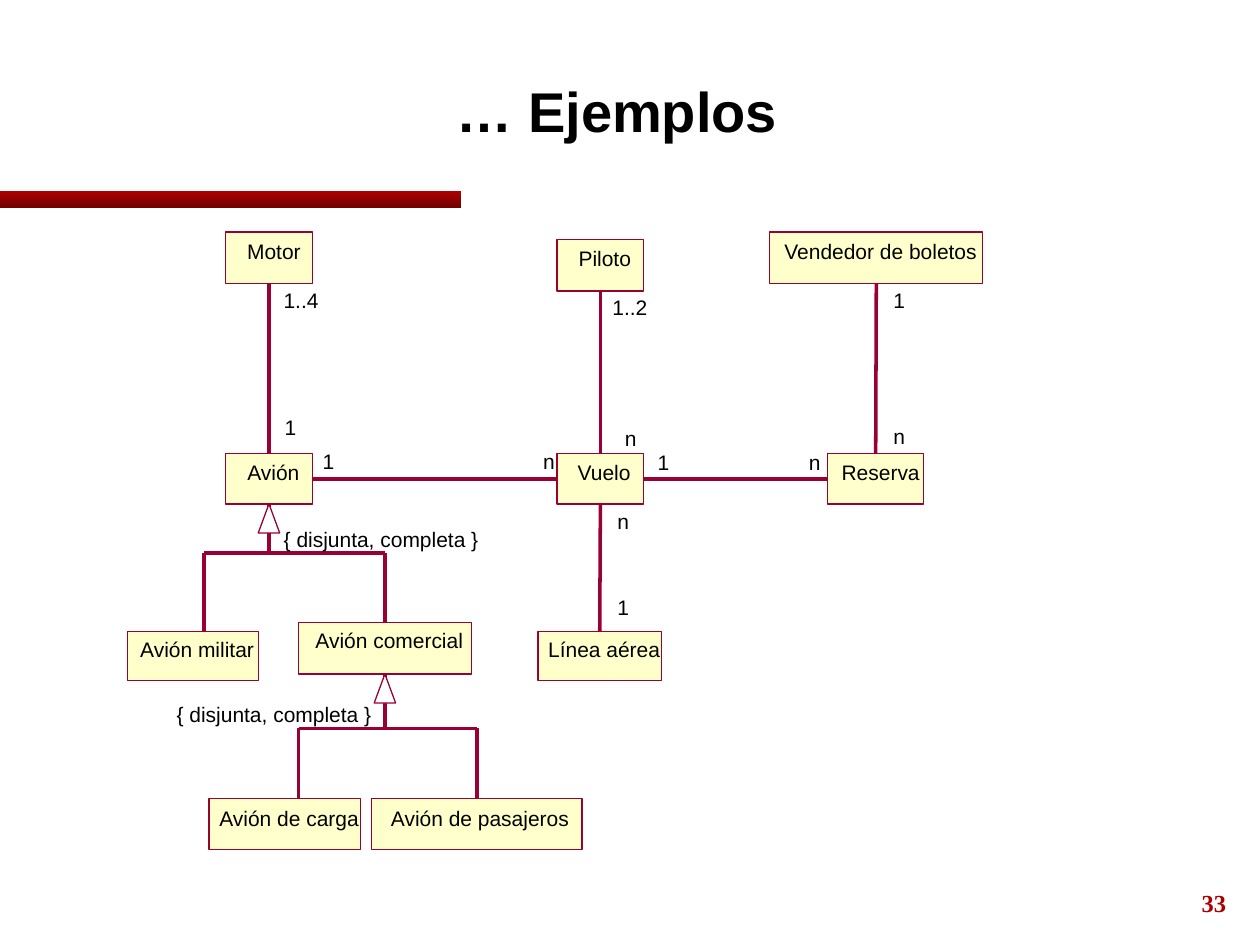
from pptx import Presentation
from pptx.dml.color import RGBColor
from pptx.enum.shapes import MSO_CONNECTOR as LINK, MSO_SHAPE as SHAPE
from pptx.enum.text import MSO_ANCHOR as ANCHOR, MSO_AUTO_SIZE as FIT, PP_ALIGN as ALIGN
from pptx.oxml.xmlchemy import OxmlElement
from pptx.util import Inches, Pt

COLORS = {"black": "000000", "white": "FFFFFF", "class": "FFFFCC", "line": "990033",
          "red": "AC0000", "dark_red": "710000"}
TOP, LEFT, BOTTOM, RIGHT = range(4)

# name: (left, top, width, height, label inset, label drop, label width)
CLASSES = {
    "Avión militar": (0.01, 3.21, 1.04, 0.39, 0.10, 0.04, 0.91),
    "Avión comercial": (1.37, 3.14, 1.37, 0.41, 0.13, 0.04, 1.18),
    "Avión de carga": (0.66, 4.54, 1.20, 0.40, 0.08, 0.05, 1.11),
    "Avión de pasajeros": (1.95, 4.54, 1.67, 0.40, 0.15, 0.05, 1.42),
    "Motor": (0.79, 0.04, 0.69, 0.41, 0.17, 0.05, 0.43),
    "Vendedor de boletos": (5.11, 0.04, 1.69, 0.41, 0.11, 0.05, 1.54),
    "Avión": (0.79, 1.80, 0.69, 0.40, 0.17, 0.05, 0.42),
    "Piloto": (3.42, 0.10, 0.69, 0.41, 0.17, 0.05, 0.42),
    "Reserva": (5.57, 1.80, 0.76, 0.40, 0.11, 0.05, 0.62),
    "Línea aérea": (3.27, 3.21, 0.98, 0.39, 0.08, 0.04, 0.89),
    "Vuelo": (3.42, 1.80, 0.69, 0.40, 0.16, 0.05, 0.43),
}
ASSOCIATIONS = [
    ("Motor", BOTTOM, "Avión", TOP),
    ("Piloto", BOTTOM, "Vuelo", TOP),
    ("Vendedor de boletos", BOTTOM, "Reserva", TOP),
    ("Avión", RIGHT, "Vuelo", LEFT),
    ("Vuelo", RIGHT, "Reserva", LEFT),
    ("Vuelo", BOTTOM, "Línea aérea", TOP),
]
MULTIPLICITIES = [
    ("1..4", 1.25, 0.48, 0.28), ("1", 1.26, 1.49, 0.09),
    ("1..2", 3.86, 0.54, 0.28), ("n", 3.96, 1.58, 0.09),
    ("1", 6.09, 0.48, 0.09), ("n", 6.09, 1.56, 0.09),
    ("1", 1.56, 1.76, 0.09), ("n", 3.31, 1.76, 0.09),
    ("1", 4.22, 1.77, 0.09), ("n", 5.42, 1.77, 0.09),
    ("n", 3.90, 2.24, 0.09), ("1", 3.90, 2.92, 0.09),
]


def color(name):
    """Return a named colour."""
    return RGBColor.from_string(COLORS[name])


def style_font(font, face, size, ink, bold=False):
    """Set the face, size, colour and weight of a font."""
    font.name, font.size, font.bold = face, Pt(size), bold
    font.color.rgb = color(ink)


def add_figure(page, kind, left, top, width, height, fill):
    """Add a filled shape with a hairline outline."""
    figure = page.shapes.add_shape(kind, left, top, width, height)
    figure.shadow.inherit = False
    figure.fill.solid()
    figure.fill.fore_color.rgb = color(fill)
    figure.line.color.rgb = color("line")
    figure.line.width = Pt(0)
    return figure


def add_line(page, start, end):
    """Add a hairline between two points."""
    line = page.shapes.add_connector(LINK.STRAIGHT, *start, *end)
    line.line.color.rgb = color("line")
    line.line.width = Pt(0)
    line._element.spPr.append(OxmlElement("a:effectLst"))
    return line


def add_label(page, text, left, top, width):
    """Add a one-line diagram label."""
    frame = page.shapes.add_textbox(left, top, width, Inches(0.2)).text_frame
    frame.margin_left = frame.margin_top = frame.margin_right = frame.margin_bottom = 0
    frame.word_wrap = False
    frame.auto_size = FIT.SHAPE_TO_FIT_TEXT
    para = frame.paragraphs[0]
    para.text, para.alignment, para.space_before = text, ALIGN.CENTER, Pt(3)
    style_font(para.font, "Arial", 12, "black")


def add_class(page, name, origin):
    """Add a class rectangle and its name, and return the rectangle."""
    left, top, width, height, inset, drop, label_width = map(Inches, CLASSES[name])
    left, top = origin[0] + left, origin[1] + top
    box = add_figure(page, SHAPE.RECTANGLE, left, top, width, height, "class")
    add_label(page, name, left + inset, top + drop, label_width)
    return box


def add_generalization(page, parent, children, drop):
    """Join a parent to (child, distance of its line from the child's left) pairs."""
    middle, base = parent.left + parent.width // 2, parent.top + parent.height
    bar = base + drop
    add_line(page, (middle, base), (middle, bar)).begin_connect(parent, BOTTOM)
    ends = [child.left + offset for child, offset in children]
    add_line(page, (ends[0], bar), (ends[-1], bar))
    for (child, offset), end in zip(children, ends):
        line = add_line(page, (end, child.top), (end, bar))
        if offset == child.width // 2:
            line.begin_connect(child, TOP)
    width = Inches(0.17)
    add_figure(page, SHAPE.ISOSCELES_TRIANGLE, middle - width // 2, base, width,
               Inches(0.23), "white")


def add_diagram(page, left, top):
    """Draw the class diagram from its top left corner."""
    boxes = {name: add_class(page, name, (left, top)) for name in CLASSES}
    for first, exit_side, second, entry_side in ASSOCIATIONS:
        line = add_line(page, (left, top), (left, top))
        line.begin_connect(boxes[first], exit_side)
        line.end_connect(boxes[second], entry_side)
    military, commercial, cargo, passenger = (
        boxes[name] for name in ("Avión militar", "Avión comercial",
                                 "Avión de carga", "Avión de pasajeros"))
    add_generalization(page, boxes["Avión"], [
        (military, Inches(0.61)), (commercial, commercial.width // 2)], Inches(0.39))
    add_generalization(page, commercial, [
        (cargo, Inches(0.71)), (passenger, passenger.width // 2)], Inches(0.43))
    constraints = [("{ disjunta, completa }", x, y, 1.55)
                   for x, y in ((1.25, 2.38), (0.4, 3.77))]
    for text, x, y, width in MULTIPLICITIES + constraints:
        add_label(page, text, left + Inches(x), top + Inches(y), Inches(width))


def add_band(page, left, top, width, height):
    """Draw the red gradient band under the title."""
    band = page.shapes.add_shape(SHAPE.RECTANGLE, left, top, width, height)
    band.shadow.inherit = False
    band.line.fill.background()
    band.fill.gradient()
    band.fill.gradient_angle = 270
    for stop, name in zip(band.fill.gradient_stops, ("red", "dark_red")):
        stop.color.rgb = color(name)


def place_title(page, left, top, width, height):
    """Fill and format the title placeholder."""
    title = page.shapes.title
    title.left, title.top, title.width, title.height = left, top, width, height
    frame = title.text_frame
    frame.vertical_anchor = ANCHOR.MIDDLE
    para = frame.paragraphs[0]
    para.text, para.alignment = "… Ejemplos ", ALIGN.CENTER
    style_font(para.font, "Arial", 32, "black", True)


def add_page_number(page, left, top, width, height):
    """Add the page number at the bottom right."""
    frame = page.shapes.add_textbox(left, top, width, height).text_frame
    frame.word_wrap = True
    frame.vertical_anchor = ANCHOR.BOTTOM
    para = frame.paragraphs[0]
    para.text, para.alignment = "33", ALIGN.RIGHT
    style_font(para.font, "Times New Roman", 14, "red", True)


def main():
    """Build the slide and save the deck."""
    deck = Presentation()
    deck.slide_width, deck.slide_height = Inches(10), Inches(7.5)
    page = deck.slides.add_slide(deck.slide_layouts[5])
    add_band(page, 0, Inches(1.52), Inches(3.66), Inches(0.13))
    place_title(page, Inches(0.26), Inches(0.25), Inches(9.4), Inches(1.25))
    add_diagram(page, Inches(1), Inches(1.8))
    add_page_number(page, Inches(7.75), Inches(6.83), Inches(2.08), Inches(0.5))
    deck.save("out.pptx")


if __name__ == "__main__":
    main()
